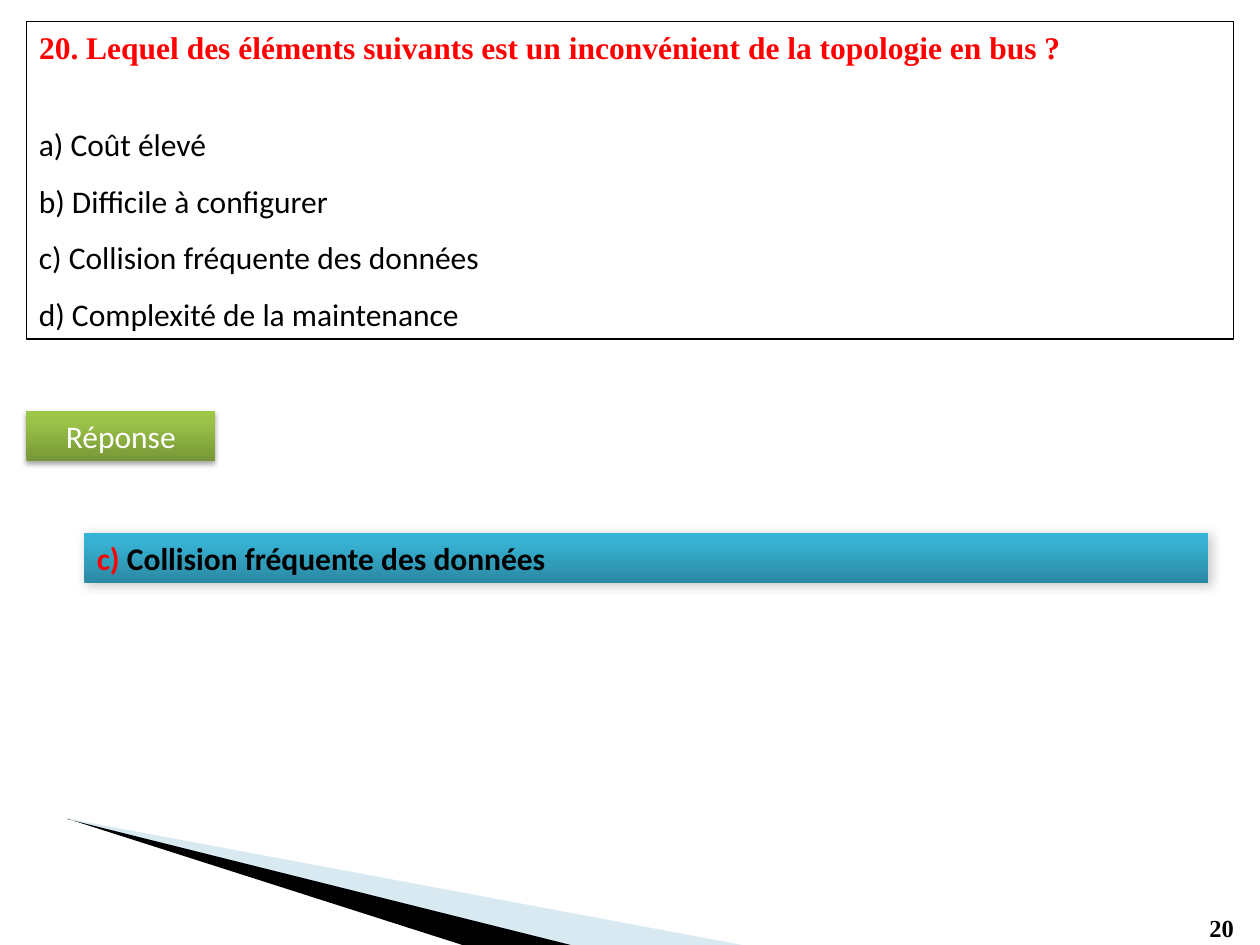
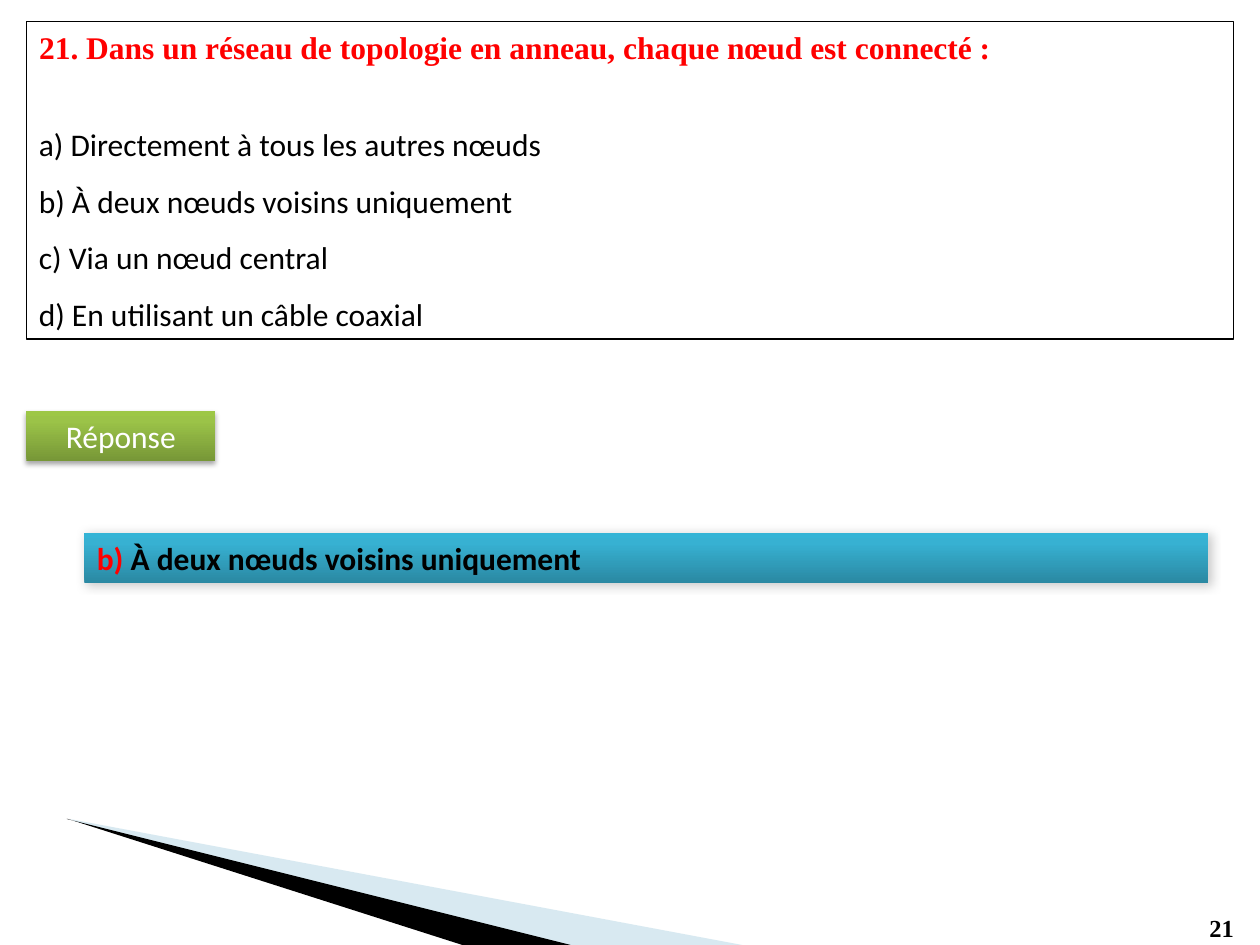
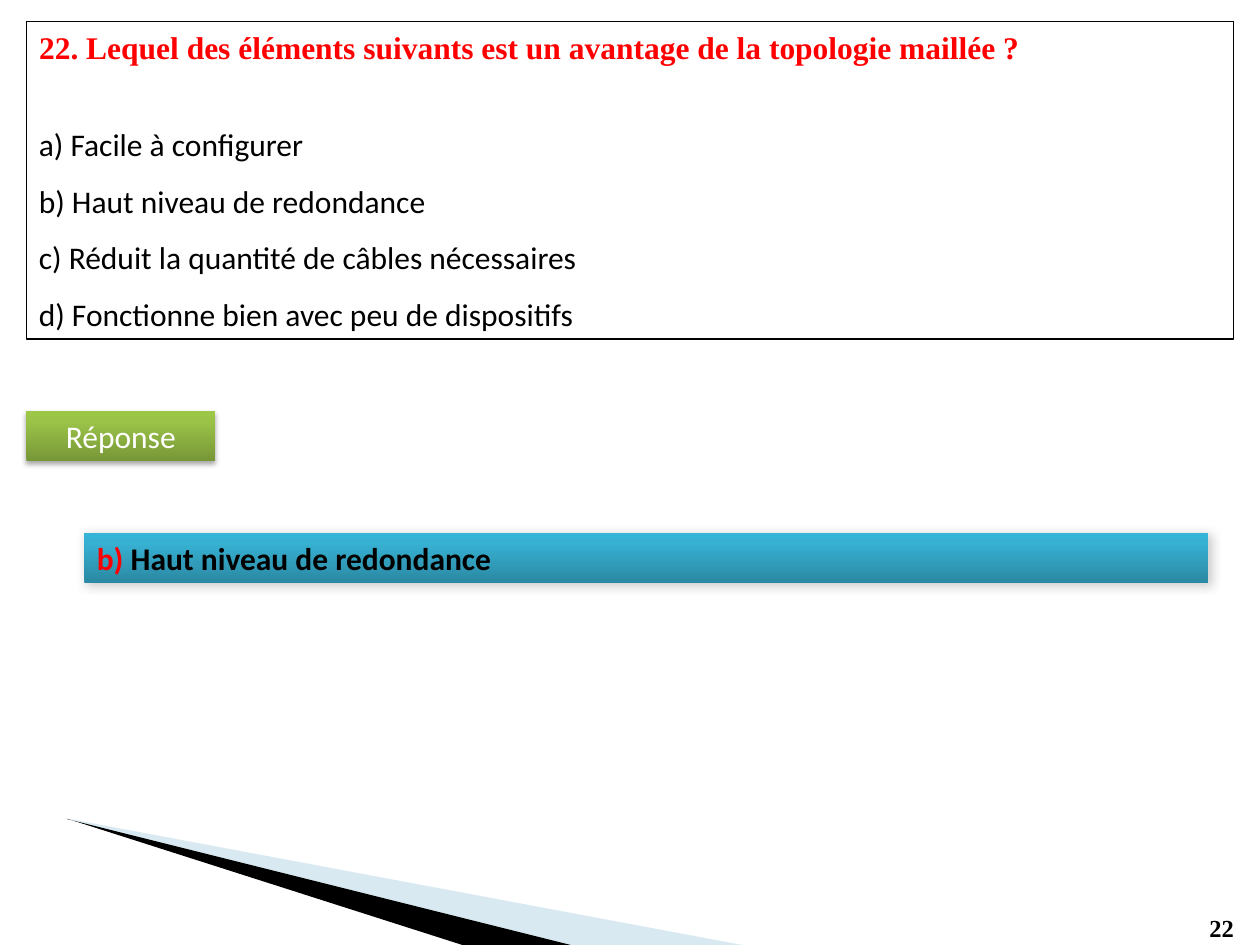
from copy import deepcopy
from dataclasses import dataclass

from lxml import etree
from pptx import Presentation, util as u
from pptx.dml.color import RGBColor
from pptx.enum import shapes, text
from pptx.oxml import parse_xml
from pptx.oxml.ns import nsdecls, qn

PX = u.Inches(1) // 100
SERIF = "Times New Roman"
SANS = "Calibri"
BLACK = RGBColor(0x00, 0x00, 0x00)
WHITE = RGBColor(0xFF, 0xFF, 0xFF)
RED = RGBColor(0xFF, 0x00, 0x00)
PALE_BLUE = RGBColor(0x9F, 0xCA, 0xDC)
GREENS = (RGBColor(0x77, 0x97, 0x37), RGBColor(0x9B, 0xC3, 0x48), RGBColor(0x9D, 0xC7, 0x46))
BLUES = (RGBColor(0x2A, 0x88, 0xA2), RGBColor(0x37, 0xB1, 0xD2), RGBColor(0x34, 0xB4, 0xD6))
STOPS = (0, 80, 100)


@dataclass(frozen=True)
class Box:
    left: int
    top: int
    width: int
    height: int

    def emu(self) -> list[int]:
        return [v * PX for v in (self.left, self.top, self.width, self.height)]


@dataclass(frozen=True)
class Wedge:
    points: tuple[tuple[int, int], ...]
    color: RGBColor
    opacity: int


@dataclass(frozen=True)
class Banner:
    box: Box
    colors: tuple[RGBColor, ...]
    align: text.PP_ALIGN
    shadow_opacity: int
    blur: float
    distance: float
    direction: int


@dataclass(frozen=True)
class Question:
    number: int
    title: str
    options: tuple[str, ...]
    answer: str


TITLE_BOX = Box(21, 17, 958, 40)
QUESTION_BOX = Box(21, 17, 958, 252)
NUMBER_BOX = Box(950, 720, 48, 34)
LABEL = Banner(Box(21, 326, 150, 40), GREENS, text.PP_ALIGN.CENTER, 35, 3.1, 1.8, 90)
ANSWER = Banner(Box(67, 423, 892, 40), BLUES, text.PP_ALIGN.JUSTIFY, 20, 6, 1, 45)
WEDGES = (
    Wedge(((55, 650), (64, 653), (451, 750), (589, 750)), PALE_BLUE, 40),
    Wedge(((53, 650), (54, 650), (367, 750), (453, 750)), BLACK, 100),
)
QUESTIONS = (
    Question(20, "Lequel des éléments suivants est un inconvénient de la topologie en bus ?",
             ("Coût élevé", "Difficile à configurer",
              "Collision fréquente des données", "Complexité de la maintenance"), "c"),
    Question(21, "Dans un réseau de topologie en anneau, chaque nœud est connecté :",
             ("Directement à tous les autres nœuds", "À deux nœuds voisins uniquement",
              "Via un nœud central", "En utilisant un câble coaxial"), "b"),
    Question(22, "Lequel des éléments suivants est un avantage de la topologie maillée ?",
             ("Facile à configurer", "Haut niveau de redondance",
              "Réduit la quantité de câbles nécessaires",
              "Fonctionne bien avec peu de dispositifs"), "b"),
)


def style(font, name: str, size: int, color: RGBColor, bold: bool = False) -> None:
    font.name = name
    font.size = u.Pt(size)
    font.bold = bold
    font.color.rgb = color


def add_box(s, box: Box):
    sp = s.shapes.add_shape(shapes.MSO_SHAPE.RECTANGLE, *box.emu())
    sp.shadow.inherit = False
    sp.fill.background()
    sp.line.fill.background()
    return sp


def build_wedge(s, wedge: Wedge):
    builder = s.shapes.build_freeform(*wedge.points[0], scale=PX)
    builder.add_line_segments(wedge.points[1:])
    sp = builder.convert_to_shape()
    sp.shadow.inherit = False
    sp.line.fill.background()
    sp.fill.solid()
    sp.fill.fore_color.rgb = wedge.color
    color = sp.element.spPr.find(f"{qn('a:solidFill')}/{qn('a:srgbClr')}")
    etree.SubElement(color, qn("a:alpha"), val=str(wedge.opacity * 1000))
    return sp


def decorate_layout(layout, s) -> None:
    for i, wedge in enumerate(WEDGES):
        sp = build_wedge(s, wedge)
        layout.shapes.element.insert(2 + i, deepcopy(sp.element))
        sp.element.getparent().remove(sp.element)


def add_banner(s, banner: Banner):
    sp = add_box(s, banner.box)
    spPr = sp.element.spPr
    stops = "".join(f'<a:gs pos="{pos * 1000}"><a:srgbClr val="{color}"/></a:gs>'
                    for pos, color in zip(STOPS, banner.colors))
    gradient = parse_xml(f'<a:gradFill {nsdecls("a")} rotWithShape="1"><a:gsLst>{stops}</a:gsLst>'
                         '<a:lin ang="16200000" scaled="0"/></a:gradFill>')
    spPr.replace(spPr.find(qn("a:noFill")), gradient)
    shadow = parse_xml(
        f'<a:outerShdw {nsdecls("a")} blurRad="{u.Pt(banner.blur)}" dist="{u.Pt(banner.distance)}"'
        f' dir="{banner.direction * 60000}" rotWithShape="0"><a:srgbClr val="{BLACK}">'
        f'<a:alpha val="{banner.shadow_opacity * 1000}"/></a:srgbClr></a:outerShdw>')
    spPr.find(qn("a:effectLst")).append(shadow)
    sp.text_frame.vertical_anchor = text.MSO_ANCHOR.TOP
    p = sp.text_frame.paragraphs[0]
    p.alignment = banner.align
    return p


def add_title(s, q: Question) -> None:
    sp = s.shapes.title
    sp.left, sp.top, sp.width, sp.height = TITLE_BOX.emu()
    tf = sp.text_frame
    tf.text = f"{q.number}. {q.title}"
    tf.auto_size = text.MSO_AUTO_SIZE.NONE
    tf.vertical_anchor = text.MSO_ANCHOR.TOP
    p = tf.paragraphs[0]
    p.alignment = text.PP_ALIGN.LEFT
    style(p.font, SERIF, 18, RED, True)


def add_options(s, options: dict[str, str]) -> None:
    sp = add_box(s, QUESTION_BOX)
    sp.line.color.rgb = BLACK
    sp.line.width = u.Pt(0.75)
    tf = sp.text_frame
    tf.vertical_anchor = text.MSO_ANCHOR.BOTTOM
    tf.text = "\n".join(f"{letter}) {option}" for letter, option in options.items())
    for p in tf.paragraphs:
        p.alignment = text.PP_ALIGN.LEFT
        p.line_spacing = 1.5
        style(p.font, SANS, 18, BLACK)


def add_answer(s, letter: str, answer: str) -> None:
    p = add_banner(s, LABEL)
    p.text = "Réponse"
    style(p.font, SANS, 18, WHITE)
    p = add_banner(s, ANSWER)
    for words, color in ((f"{letter}) ", RED), (answer, BLACK)):
        r = p.add_run()
        r.text = words
        style(r.font, SANS, 18, color, True)


def add_number(s, number: int) -> None:
    tf = s.shapes.add_textbox(*NUMBER_BOX.emu()).text_frame
    tf.word_wrap = True
    p = tf.paragraphs[0]
    p.text = str(number)
    style(p.font, SERIF, 14, BLACK, True)


def main() -> None:
    prs = Presentation()
    prs.slide_width, prs.slide_height = 1000 * PX, 750 * PX
    layout = prs.slide_layouts.get_by_name("Title Only")
    for i, q in enumerate(QUESTIONS):
        s = prs.slides.add_slide(layout)
        if i == 0:
            decorate_layout(layout, s)
        options = dict(zip("abcd", q.options))
        add_number(s, q.number)
        add_title(s, q)
        add_options(s, options)
        add_answer(s, q.answer, options[q.answer])
    prs.save("out.pptx")


if __name__ == "__main__":
    main()
